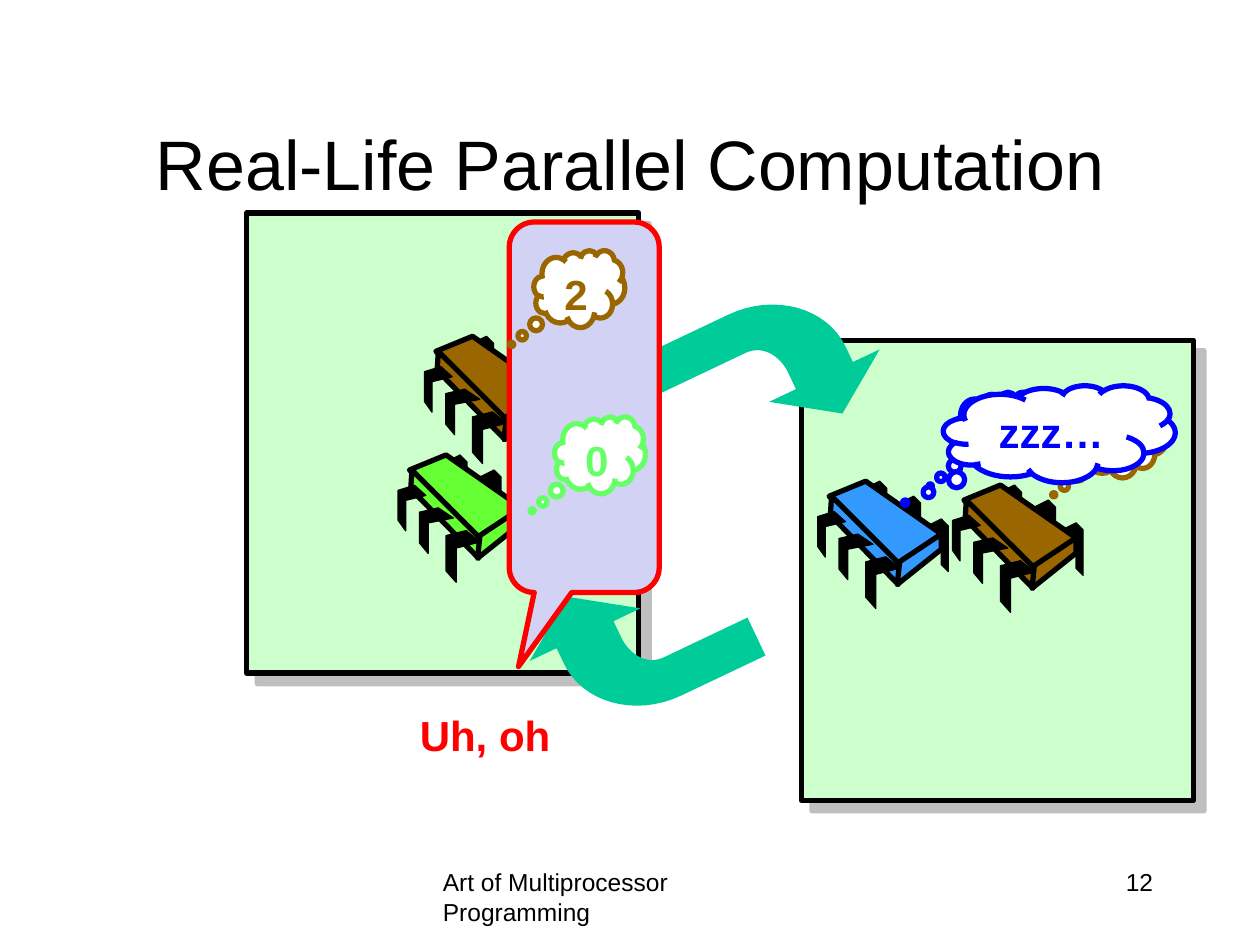
from dataclasses import dataclass

from lxml import etree
from pptx import Presentation
from pptx.dml.color import RGBColor
from pptx.enum.shapes import MSO_SHAPE
from pptx.enum.text import MSO_ANCHOR, PP_ALIGN
from pptx.oxml.ns import qn
from pptx.util import Pt

RECTANGLE = MSO_SHAPE.RECTANGLE
CLOUD = MSO_SHAPE.CLOUD_CALLOUT
BALLOON = MSO_SHAPE.ROUNDED_RECTANGULAR_CALLOUT
TOP, MIDDLE = MSO_ANCHOR.TOP, MSO_ANCHOR.MIDDLE
LEFT, CENTER, RIGHT = PP_ALIGN.LEFT, PP_ALIGN.CENTER, PP_ALIGN.RIGHT


@dataclass(frozen=True)
class Theme:
    """Colours, font and sizes used on the slide."""
    font: str = "Arial"
    title: float = 40
    label: float = 24
    footer: float = 14
    thick: float = 3
    thin: float = 0.75
    black: str = "000000"
    white: str = "FFFFFF"
    panel: str = "CCFFCC"
    shadow: str = "808080"
    arrow: str = "00CC99"
    balloon: str = "D2D2F4"
    red: str = "FF0000"
    blue: str = "0000FF"
    mint: str = "66FF66"
    brown: str = "996600"
    green_chip: str = "66FF33"
    blue_chip: str = "3399FF"


THEME = Theme()

CHIP_TOP = [(27.4, 0), (70.6, 30.2), (46, 47.5), (6.5, 8.6)]
CHIP_FRONT = [(7.9, 8.6), (46.8, 47.5), (46, 59), (7.2, 19.4)]
CHIP_END = [(70.6, 30.2), (70.6, 38.9), (45.4, 59), (46.8, 46)]
BACK_LEGS = [(62.6, 21.6, 30), (46.8, 8.6, 30), (27.4, 0, 26)]
FRONT_LEGS = [
    (27.4, 43.2, [(11.5, 0), (19.4, 6.5), (5.8, 10), (5.8, 29.5), (0, 23), (0, 2.9)]),
    (12.2, 30.2, [(10.8, 0), (19.4, 5.8), (5, 8.6), (5, 26), (0, 20), (0, 2.5)]),
    (0, 17.3, [(9.4, 0), (15.8, 5.8), (4.3, 8.6), (4.3, 26), (0, 20), (0, 2.9)]),
]


def paint(shape, fill, line=None, width=THEME.thick):
    """Set the fill and outline of a shape and drop its shadow."""
    shape.shadow.inherit = False
    shape.fill.solid()
    shape.fill.fore_color.rgb = RGBColor.from_string(fill)
    if line:
        shape.line.color.rgb = RGBColor.from_string(line)
        shape.line.width = Pt(width)
    else:
        shape.line.fill.background()


def write(shape, text, size, color, align=LEFT, anchor=TOP, bold=False, wrap=True):
    """Put one styled paragraph into a shape."""
    frame = shape.text_frame
    frame.word_wrap = wrap
    frame.vertical_anchor = anchor
    paragraph = frame.paragraphs[0]
    paragraph.text = text
    paragraph.alignment = align
    font = paragraph.font
    font.name, font.size, font.bold = THEME.font, Pt(size), bold
    font.color.rgb = RGBColor.from_string(color)


def add_preset(slide, kind, box, fill, line, adjustments=()):
    """Add a painted preset shape in the given box."""
    shape = slide.shapes.add_shape(kind, *map(Pt, box))
    for index, value in enumerate(adjustments):
        shape.adjustments[index] = value
    paint(shape, fill, line)
    return shape


def add_label(slide, box, *args, **options):
    """Add a text box in the given box."""
    write(slide.shapes.add_textbox(*map(Pt, box)), *args, **options)


def add_outline(shapes, origin, points, fill, line=None, width=THEME.thick):
    """Add a closed polygon whose points are relative to the origin."""
    start, *rest = [(Pt(x), Pt(y)) for x, y in points]
    builder = shapes.build_freeform(*start)
    builder.add_line_segments(rest, close=True)
    shape = builder.convert_to_shape(*map(Pt, origin))
    paint(shape, fill, line, width)
    return shape


def add_panel(slide, box):
    """Add a green memory panel with a hard offset shadow."""
    shape = add_preset(slide, RECTANGLE, box, THEME.panel, THEME.black)
    effects = shape._element.spPr.find(qn("a:effectLst"))
    shadow = etree.SubElement(
        effects, qn("a:outerShdw"), blurRad="0", dist=str(Pt(8.5)),
        dir="2700000", algn="ctr", rotWithShape="0")
    color = etree.SubElement(shadow, qn("a:srgbClr"), val=THEME.shadow)
    etree.SubElement(color, qn("a:alpha"), val="50000")


def curve(start, first, second, end, steps=16):
    """Return points along a cubic Bezier curve."""
    points = []
    for step in range(steps + 1):
        t = step / steps
        weights = ((1 - t) ** 3, 3 * t * (1 - t) ** 2, 3 * t * t * (1 - t), t ** 3)
        points.append(tuple(
            sum(weight * value for weight, value in zip(weights, axis))
            for axis in zip(start, first, second, end)))
    return points


def add_bent_arrow(slide, origin, rotation):
    """Add a bent arrow, drawn upright and then rotated."""
    outer = curve((45, 17), (21, 17), (0, 40), (0, 70))
    inner = curve((24, 70), (24, 60), (33, 53), (45, 53))
    points = [(79, 35), (55, 0), (55, 17), *outer, (0, 123), (24, 123),
              *inner, (55, 53), (55, 70)]
    add_outline(slide.shapes, origin, points, THEME.arrow).rotation = rotation


def add_chip(slide, origin, color):
    """Add a grouped processor chip with six legs."""
    left, top = origin
    shapes = slide.shapes.add_group_shape().shapes
    for x, y, height in BACK_LEGS:
        leg = [(0, 4), (8, 0), (12, 4), (12, height), (8, height - 4), (8, 9), (0, 13)]
        add_outline(shapes, (left + x, top + y), leg, THEME.black, THEME.black, THEME.thin)
    for face in (CHIP_TOP, CHIP_FRONT, CHIP_END):
        add_outline(shapes, origin, face, color, THEME.black)
    for x, y, leg in FRONT_LEGS:
        add_outline(shapes, (left + x, top + y), leg, THEME.black, THEME.black, THEME.thin)


def add_thought(slide, origin, color, text=None, size=(52, 44), tail=(-0.745, 0.722)):
    """Add a thought cloud, with a bold label if text is given."""
    shape = add_preset(slide, CLOUD, (*origin, *size), THEME.white, color, tail)
    if text:
        write(shape, text, THEME.label, color, CENTER, bold=True)


def build_slide(slide):
    """Place every region of the slide from back to front."""
    for origin in ((458, 194.4), (141, 121.7)):
        add_panel(slide, (*origin, 224, 263))
    add_bent_arrow(slide, (401, 150.5), 64.6)
    add_bent_arrow(slide, (325.4, 303.8), 244.6)
    add_label(slide, (246, 492, 228, 36), "Art of Multiprocessor Programming",
              THEME.footer, THEME.black)
    add_label(slide, (516, 492, 150, 36), "12", THEME.footer, THEME.black, RIGHT)
    add_chip(slide, (242.6, 192.2), THEME.brown)
    add_chip(slide, (227.5, 260), THEME.green_chip)
    add_preset(slide, BALLOON, (291, 126.9, 85.7, 211.7), THEME.balloon, THEME.red,
               (-0.438, 0.7, 0.167))
    add_label(slide, (54, 48, 612, 90), "Real-Life Parallel Computation",
              THEME.title, THEME.black, CENTER, MIDDLE)
    add_chip(slide, (467.3, 275), THEME.blue_chip)
    add_chip(slide, (544.3, 277.2), THEME.brown)
    add_thought(slide, (305.1, 143.1), THEME.brown, "2")
    add_thought(slide, (614.9, 229), THEME.brown)
    add_thought(slide, (544.3, 224), THEME.blue)
    add_thought(slide, (539.1, 220.3), THEME.blue, "zzz…", (132.5, 55.4), (-0.665, 0.709))
    add_label(slide, (230.4, 401.8, 93.6, 36), "Uh, oh", THEME.label,
              THEME.red, CENTER, bold=True, wrap=False)
    add_thought(slide, (316.9, 238.1), THEME.mint, "0")


def main():
    """Create the presentation and save it."""
    presentation = Presentation()
    presentation.slide_width, presentation.slide_height = Pt(720), Pt(540)
    build_slide(presentation.slides.add_slide(presentation.slide_layouts[6]))
    presentation.save("out.pptx")


if __name__ == "__main__":
    main()
